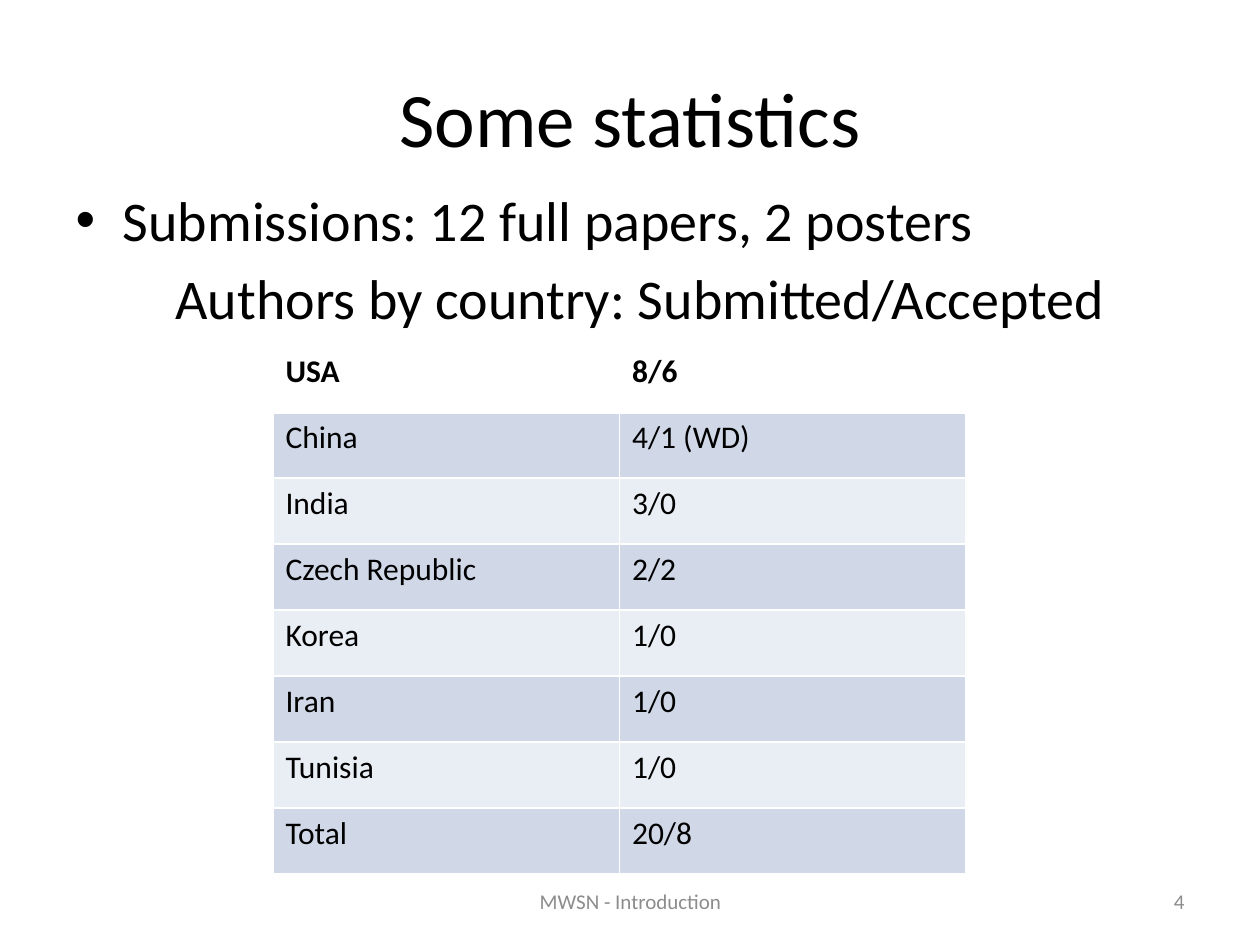
from dataclasses import dataclass

from lxml import etree
from pptx import Presentation, util as u
from pptx.dml.color import RGBColor
from pptx.enum import text
from pptx.oxml.ns import qn

PX_PER_INCH = 126
FONT = "Calibri"
BLACK, GREY, WHITE = "000000", "8C8C8C", "FFFFFF"
BANDS = ("D0D8E8", "E9EDF4")
ALIGN, ANCHOR = text.PP_ALIGN, text.MSO_ANCHOR


@dataclass(frozen=True)
class Box:
    left: int
    top: int
    width: int
    height: int


@dataclass(frozen=True)
class CountryRow:
    country: str
    counts: str


@dataclass(frozen=True)
class FooterItem:
    wording: str
    box: Box
    align: ALIGN


COUNTRY_ROWS = (
    CountryRow("USA", "8/6"),
    CountryRow("China", "4/1 (WD)"),
    CountryRow("India", "3/0"),
    CountryRow("Czech Republic", "2/2"),
    CountryRow("Korea", "1/0"),
    CountryRow("Iran", "1/0"),
    CountryRow("Tunisia", "1/0"),
    CountryRow("Total", "20/8"),
)
FOOTER = (
    FooterItem("4", Box(903, 876, 294, 50), ALIGN.RIGHT),
    FooterItem("MWSN - Introduction", Box(431, 876, 399, 50), ALIGN.CENTER),
)


def px(length: int) -> u.Emu:
    return u.Emu(round(length * u.Inches(1) / PX_PER_INCH))


def color(hex_code: str) -> RGBColor:
    return RGBColor.from_string(hex_code)


def place(shape, box: Box) -> None:
    shape.left, shape.top = px(box.left), px(box.top)
    shape.width, shape.height = px(box.width), px(box.height)


def add_run(paragraph, wording: str, size: int, hex_code: str = BLACK, bold: bool = False) -> None:
    run = paragraph.add_run()
    run.text = wording
    run.font.name, run.font.size, run.font.bold = FONT, u.Pt(size), bold
    run.font.color.rgb = color(hex_code)


def set_border(cell, side: str, points: int) -> None:
    """Add a white border; side is L, R, T or B. Call before filling the cell."""
    line = etree.SubElement(cell._tc.get_or_add_tcPr(), qn(f"a:ln{side}"), w=str(u.Pt(points)))
    fill = etree.SubElement(line, qn("a:solidFill"))
    etree.SubElement(fill, qn("a:srgbClr"), val=WHITE)


def add_title(slide) -> None:
    title = slide.shapes.title
    place(title, Box(63, 38, 1134, 158))
    title.text_frame.vertical_anchor = ANCHOR.MIDDLE
    heading = title.text_frame.paragraphs[0]
    heading.alignment = ALIGN.CENTER
    add_run(heading, "Some statistics", 44)


def add_body(slide) -> None:
    body = slide.placeholders[1]
    place(body, Box(63, 179, 1155, 703))
    frame = body.text_frame
    frame.auto_size = text.MSO_AUTO_SIZE.NONE
    add_run(frame.paragraphs[0], "Submissions: 12 full papers, 2 posters", 32)
    caption = frame.add_paragraph()
    caption.alignment = ALIGN.CENTER
    etree.SubElement(caption._p.get_or_add_pPr(), qn("a:buNone"))
    add_run(caption, "Authors by country: Submitted/Accepted", 32)


def add_country_table(slide, box: Box) -> None:
    frame = slide.shapes.add_table(
        len(COUNTRY_ROWS), 2, px(box.left), px(box.top), px(box.width), px(box.height))
    for index, row in enumerate(COUNTRY_ROWS):
        is_header = index == 0
        for column, wording in enumerate((row.country, row.counts)):
            cell = frame.table.cell(index, column)
            for side in "LRTB":
                thick = (is_header and side == "B") or (index == 1 and side == "T")
                set_border(cell, side, 3 if thick else 1)
            if is_header:
                cell.fill.background()
            else:
                cell.fill.solid()
                cell.fill.fore_color.rgb = color(BANDS[(index - 1) % 2])
            add_run(cell.text_frame.paragraphs[0], wording, 18, bold=is_header)


def add_footer_item(slide, item: FooterItem) -> None:
    box = item.box
    footer = slide.shapes.add_textbox(px(box.left), px(box.top), px(box.width), px(box.height))
    footer.text_frame.word_wrap = True
    footer.text_frame.vertical_anchor = ANCHOR.MIDDLE
    paragraph = footer.text_frame.paragraphs[0]
    paragraph.alignment = item.align
    add_run(paragraph, item.wording, 12, GREY)


def main() -> None:
    deck = Presentation()
    deck.slide_width, deck.slide_height = px(1260), px(945)
    slide = deck.slides.add_slide(deck.slide_layouts[1])
    add_title(slide)
    add_body(slide)
    add_country_table(slide, Box(273, 346, 693, 528))
    for item in FOOTER:
        add_footer_item(slide, item)
    deck.save("out.pptx")


if __name__ == "__main__":
    main()
